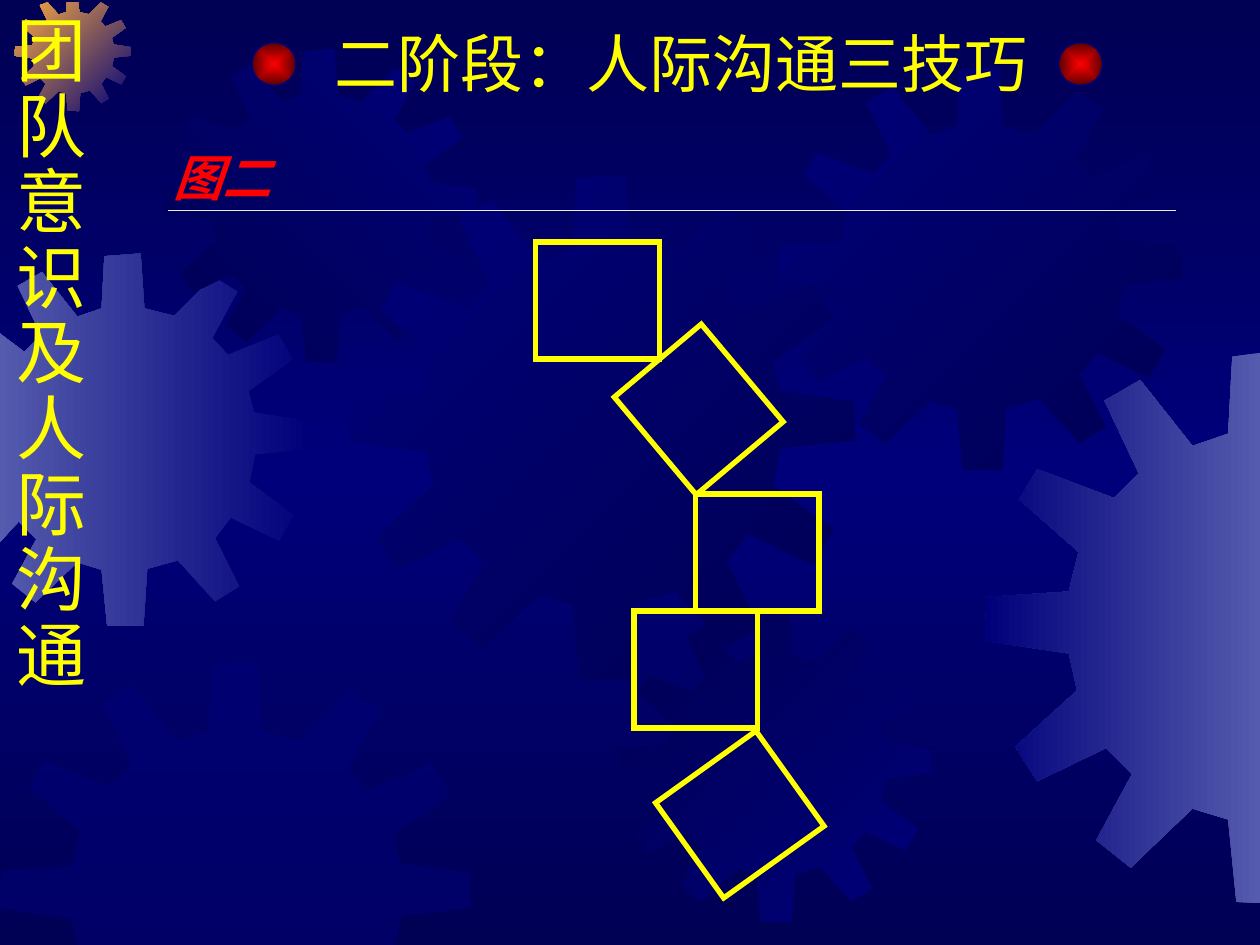
from copy import deepcopy
from lxml.etree import SubElement
from pptx import Presentation
from pptx.dml.color import RGBColor
from pptx.enum.shapes import MSO_CONNECTOR, MSO_SHAPE
from pptx.enum.text import MSO_AUTO_SIZE
from pptx.oxml.ns import qn
from pptx.util import Cm, Pt

HUES = {
    "navy": "000054", "blue": "00007A", "lilac": "555BAD", "amber": "FCAB40",
    "red": "FF0000", "wine": "5B0000", "yellow": "FFFF00", "pale": "EAEAEA",
}
TINT = {name: RGBColor.from_string(code) for name, code in HUES.items()}


def blend(fill, first, last, angle):
    fill.gradient()
    fill.gradient_angle = angle
    for stop, hue, place in zip(fill.gradient_stops, (first, last), (0, 1)):
        stop.color.rgb = TINT[hue]
        stop.position = place


def write(text, left, top, width, height, size, hue, face, bold=False, space=None):
    box = slide.shapes.add_textbox(Cm(left), Cm(top), Cm(width), Cm(height))
    frame = box.text_frame
    frame.text = text
    frame.word_wrap = False
    frame.auto_size = MSO_AUTO_SIZE.SHAPE_TO_FIT_TEXT
    for para in frame.paragraphs:
        para.line_spacing = space
        for run in para.runs:
            font = run.font
            font.size = Pt(size)
            font.color.rgb = TINT[hue]
            font.name = face
            if bold:
                font.bold = font.italic = True
            SubElement(run._r.get_or_add_rPr(), qn("a:ea"), typeface=face)


deck = Presentation()
deck.slide_width, deck.slide_height = Cm(25.4), Cm(19.05)
slide = deck.slides.add_slide(deck.slide_layouts[6])

blend(slide.background.fill, "navy", "navy", 270)
stops = slide._element.find(".//" + qn("a:gsLst"))
mid = deepcopy(stops[0])
mid.set("pos", "50000")
mid[0].set("val", HUES["blue"])
stops.insert(1, mid)

TEETH = [
    (255, 67), (223, 59), (219, 0), (180, 3), (177, 59), (151, 68),
    (113, 20), (87, 35), (112, 88), (94, 106), (38, 85), (25, 107),
    (68, 145), (61, 174), (1, 178), (0, 210), (61, 219), (67, 246),
    (22, 287), (38, 312), (88, 288), (107, 307), (81, 355), (106, 375),
    (151, 332), (177, 340), (183, 400), (222, 401), (226, 339), (259, 330),
    (299, 374), (325, 358), (299, 306), (316, 284), (368, 309), (384, 281),
    (336, 246), (342, 216), (401, 210), (400, 180), (341, 171), (335, 148),
    (383, 114), (367, 87), (313, 109), (296, 91), (323, 41), (297, 25),
]
GEARS = [
    (-1.27, 5.11, 7.52, "blue", "lilac", 180),
    (0.3, -0.1, 2.34, "blue", "amber", 135),
    (3.3, 0.99, 6.3, "blue", "navy", 225),
    (7.04, 3.53, 10.2, "navy", "blue", 135),
    (0, 13.34, 9.5, "blue", None, 0),
    (12.47, 12.29, 6.3, "blue", "navy", 135),
    (15.7, 1.35, 8.13, "navy", "blue", 135),
    (19.86, 7.11, 11.1, "lilac", "blue", 180),
]
for left, top, size, first, last, angle in GEARS:
    dots = [
        (Cm(min(max(left + x * size / 401, -0.03), 25.43)),
         Cm(min(max(top + y * size / 401, 0.05), 19.15)))
        for x, y in TEETH
    ]
    path = slide.shapes.build_freeform(*dots[0])
    path.add_line_segments(dots[1:], close=True)
    gear = path.convert_to_shape()
    gear.shadow.inherit = False
    gear.line.fill.background()
    if last:
        blend(gear.fill, first, last, angle)
    else:
        gear.fill.solid()
        gear.fill.fore_color.rgb = TINT[first]
        color = gear._element.spPr.find(".//" + qn("a:srgbClr"))
        SubElement(color, qn("a:alpha"), val="50000")

write("\n".join("团队意识及人际沟通"), 0.08, 0.2, 1.95, 13.97, 40, "yellow", "Arial Narrow", space=0.9)

for left in (5.08, 21.34):
    ball = slide.shapes.add_shape(MSO_SHAPE.OVAL, Cm(left), Cm(0.86), Cm(0.89), Cm(0.86))
    ball.shadow.inherit = False
    ball.line.color.rgb = TINT["blue"]
    ball.line.width = Pt(0.75)
    blend(ball.fill, "red", "wine", 0)
    grad = ball._element.spPr.find(qn("a:gradFill"))
    grad.remove(grad.find(qn("a:lin")))
    focus = SubElement(grad, qn("a:path"), path="rect")
    SubElement(focus, qn("a:fillToRect"), l="50000", t="50000", r="50000", b="50000")

write("二阶段：人际沟通三技巧", 6.5, 0.36, 14.5, 1.78, 36, "yellow", "Arial Narrow")

rule = slide.shapes.add_connector(MSO_CONNECTOR.STRAIGHT, Cm(3.38), Cm(4.24), Cm(23.7), Cm(4.24))
rule.line.color.rgb = TINT["pale"]
rule.line.width = Pt(0.75)
SubElement(rule._element.spPr, qn("a:effectLst"))

write("图二", 3.25, 2.84, 2.6, 1.45, 28, "red", "Noto Sans CJK SC", bold=True)

tower = slide.shapes.add_group_shape()
BLOCKS = [
    (10.8, 4.88, 2.49, 2.36, 0),
    (14.02, 9.96, 2.49, 2.36, 0),
    (12.78, 12.32, 2.49, 2.36, 0),
    (12.8, 7.11, 2.57, 2.29, 50),
    (13.67, 15.24, 2.49, 2.36, 324.4),
]
for left, top, width, height, turn in BLOCKS:
    block = tower.shapes.add_shape(MSO_SHAPE.RECTANGLE, Cm(left), Cm(top), Cm(width), Cm(height))
    block.rotation = turn
    block.shadow.inherit = False
    block.fill.background()
    block.line.color.rgb = TINT["yellow"]
    block.line.width = Pt(3)
    SubElement(block._element.spPr.find(qn("a:ln")), qn("a:miter"), lim="800000")

deck.save("out.pptx")
